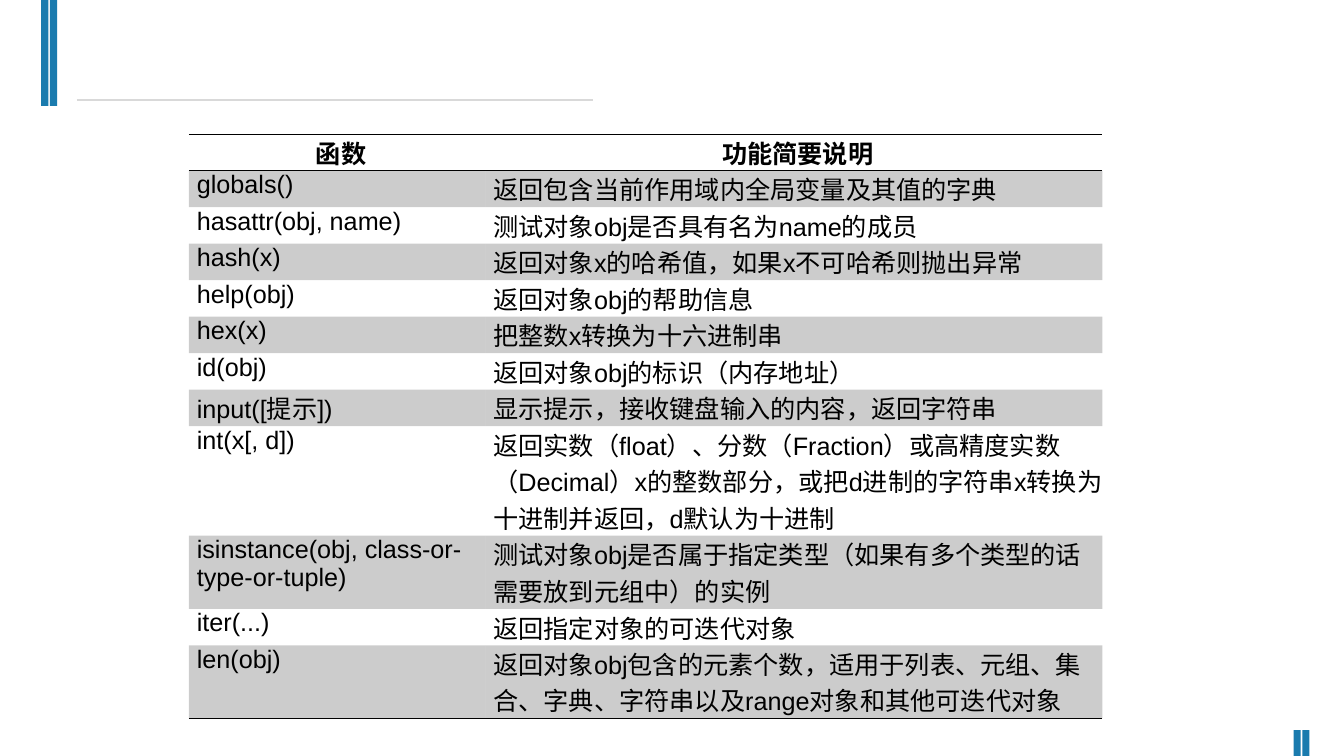
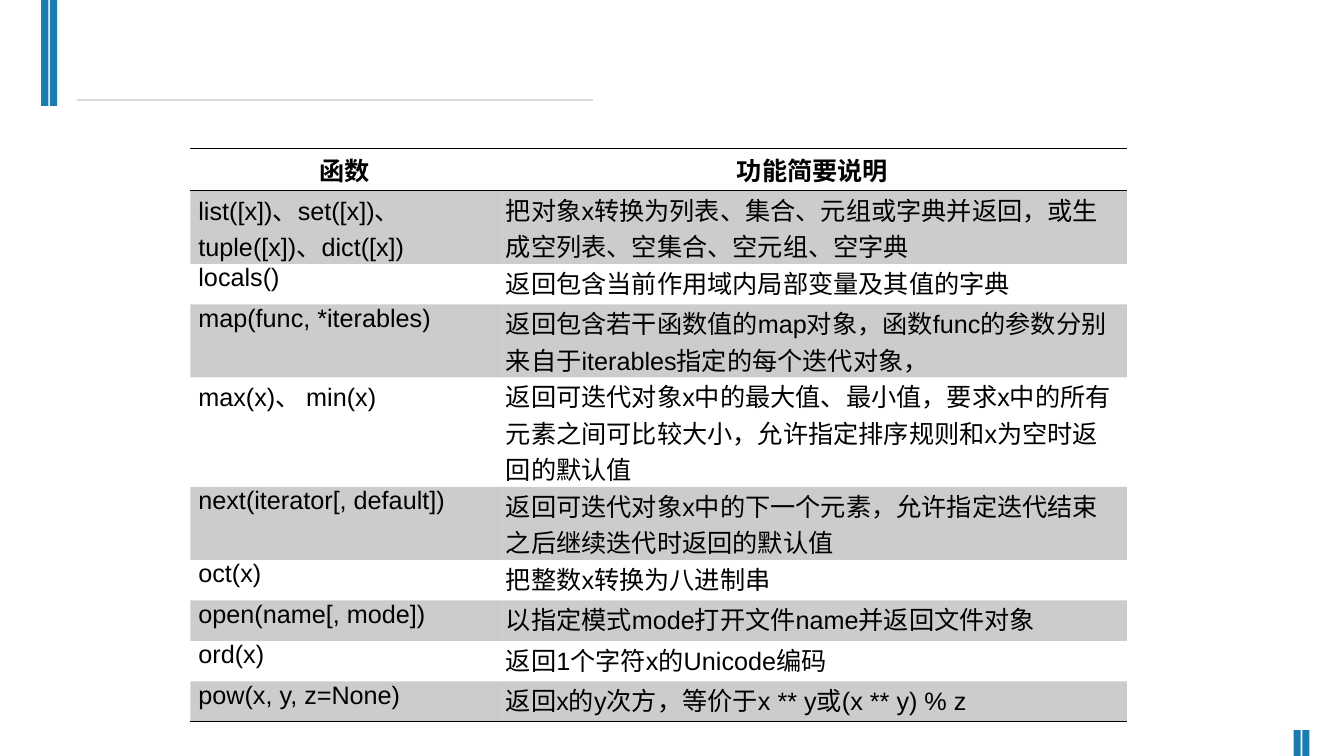
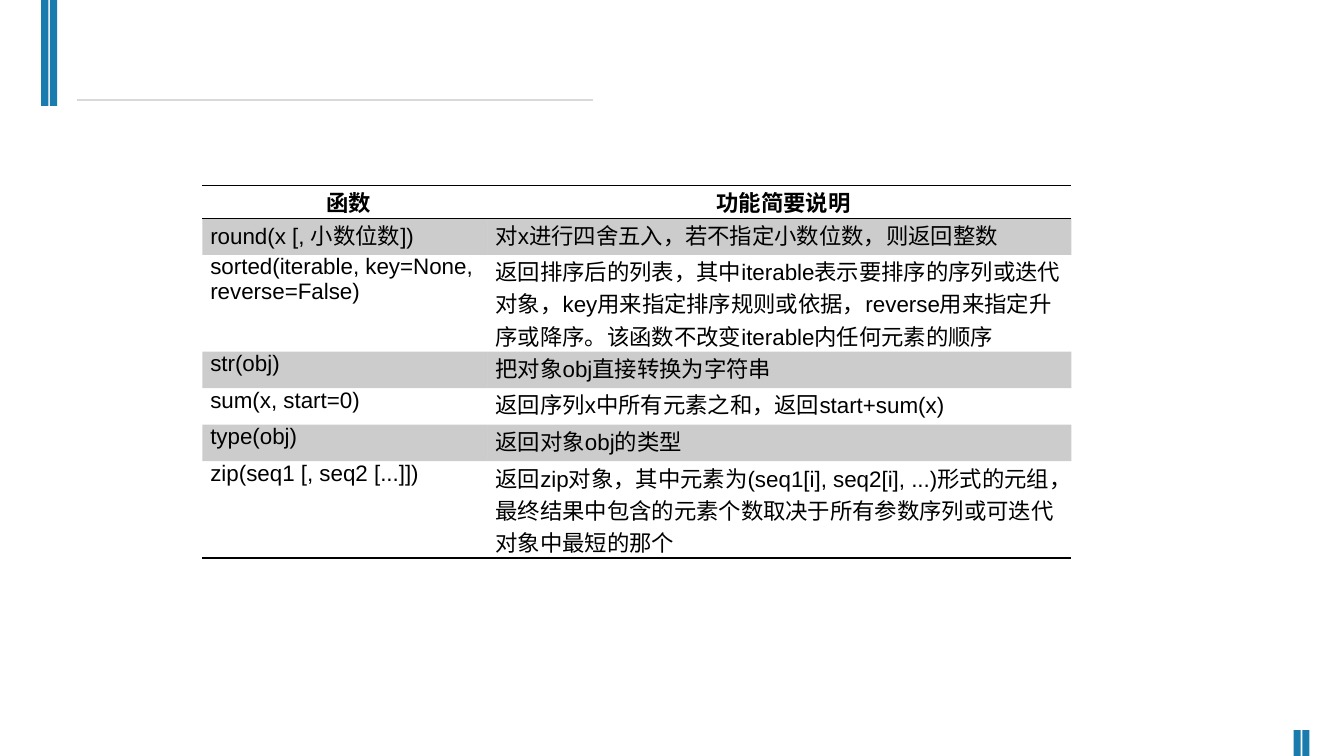
from lxml import etree
from pptx import Presentation
from pptx.dml.color import RGBColor
from pptx.enum.shapes import MSO_CONNECTOR, MSO_SHAPE
from pptx.enum.text import MSO_ANCHOR, PP_ALIGN
from pptx.oxml.ns import qn
from pptx.util import Cm, Pt

RECTANGLE = MSO_SHAPE.RECTANGLE
STRAIGHT = MSO_CONNECTOR.STRAIGHT
CENTER, LEFT = PP_ALIGN.CENTER, PP_ALIGN.LEFT
MIDDLE, TOP = MSO_ANCHOR.MIDDLE, MSO_ANCHOR.TOP

BLUE, RULE_GRAY, BLACK = "1A7BAE", "D9D9D9", "000000"
FONT = "Arial"
NO_STYLE = "{2D5ABB26-0587-4C30-8999-92F81FD0307C}"
BAND_OPACITY = 20000
INSET = 0.2
LINE_HEIGHTS = {18: 0.92, 16: 0.81}
HEADINGS = ("函数", "功能简要说明")

G_TO_LEN = [
    ("globals()", "返回包含当前作用域内全局变量及其值的字典", 1),
    ("hasattr(obj, name)", "测试对象obj是否具有名为name的成员", 1),
    ("hash(x)", "返回对象x的哈希值，如果x不可哈希则抛出异常", 1),
    ("help(obj)", "返回对象obj的帮助信息", 1),
    ("hex(x)", "把整数x转换为十六进制串", 1),
    ("id(obj)", "返回对象obj的标识（内存地址）", 1),
    ("input([提示])", "显示提示，接收键盘输入的内容，返回字符串", 1),
    ("int(x[, d])",
     "返回实数（float）、分数（Fraction）或高精度实数（Decimal）x的整数部分，"
     "或把d进制的字符串x转换为十进制并返回，d默认为十进制", 3),
    ("isinstance(obj, class-or-type-or-tuple)",
     "测试对象obj是否属于指定类型（如果有多个类型的话需要放到元组中）的实例", 2),
    ("iter(...)", "返回指定对象的可迭代对象", 1),
    ("len(obj)",
     "返回对象obj包含的元素个数，适用于列表、元组、集合、字典、字符串"
     "以及range对象和其他可迭代对象", 2),
]
LIST_TO_POW = [
    ("list([x])、set([x])、tuple([x])、dict([x])",
     "把对象x转换为列表、集合、元组或字典并返回，或生成空列表、空集合、空元组、空字典", 2),
    ("locals()", "返回包含当前作用域内局部变量及其值的字典", 1),
    ("map(func, *iterables)",
     "返回包含若干函数值的map对象，函数func的参数分别来自于iterables指定的每个迭代对象，", 2),
    ("max(x)、 min(x)",
     "返回可迭代对象x中的最大值、最小值，要求x中的所有元素之间可比较大小，"
     "允许指定排序规则和x为空时返回的默认值", 3),
    ("next(iterator[, default])",
     "返回可迭代对象x中的下一个元素，允许指定迭代结束之后继续迭代时返回的默认值", 2),
    ("oct(x)", "把整数x转换为八进制串", 1),
    ("open(name[, mode])", "以指定模式mode打开文件name并返回文件对象", 1),
    ("ord(x)", "返回1个字符x的Unicode编码", 1),
    ("pow(x, y, z=None)", "返回x的y次方，等价于x ** y或(x ** y) % z", 1),
]
ROUND_TO_ZIP = [
    ("round(x [, 小数位数])", "对x进行四舍五入，若不指定小数位数，则返回整数", 1),
    ("sorted(iterable, key=None, reverse=False)",
     "返回排序后的列表，其中iterable表示要排序的序列或迭代对象，key用来指定排序规则或依据，"
     "reverse用来指定升序或降序。该函数不改变iterable内任何元素的顺序", 3),
    ("str(obj)", "把对象obj直接转换为字符串", 1),
    ("sum(x, start=0)", "返回序列x中所有元素之和，返回start+sum(x)", 1),
    ("type(obj)", "返回对象obj的类型", 1),
    ("zip(seq1 [, seq2 [...]])",
     "返回zip对象，其中元素为(seq1[i], seq2[i], ...)形式的元组，"
     "最终结果中包含的元素个数取决于所有参数序列或可迭代对象中最短的那个", 3),
]


def color(hex_code):
    """Turn a hex string into a colour."""
    return RGBColor.from_string(hex_code)


def add_bar_pair(shapes, left, top, height):
    """Draw two narrow blue bars side by side and return them."""
    bars = []
    for offset in (0, 0.22):
        bar = shapes.add_shape(RECTANGLE, Cm(left + offset), Cm(top), Cm(0.18), Cm(height))
        bar.shadow.inherit = False
        bar.fill.solid()
        bar.fill.fore_color.rgb = color(BLUE)
        bar.line.fill.background()
        bars.append(bar)
    return bars


def add_title_rule(shapes, left, top, width):
    """Draw the thin grey rule under the title area."""
    rule = shapes.add_connector(STRAIGHT, Cm(left), Cm(top), Cm(left + width), Cm(top))
    rule.line.color.rgb = color(RULE_GRAY)
    rule.line.width = Pt(0.75)
    etree.SubElement(rule.element.spPr, qn("a:effectLst"))
    return rule


def decorate_layout(layout, slide):
    """Draw the shared bars and rule, then move them to the layout."""
    decorations = [
        *add_bar_pair(slide.shapes, 1.04, 0, 2.67),
        *add_bar_pair(slide.shapes, 32.6, 18.4, 0.65),
        add_title_rule(slide.shapes, 1.94, 2.52, 13),
    ]
    for decoration in decorations:
        layout.shapes.element.append(decoration.element)


def add_border(cell, side):
    """Add a one-point black border to the given side of a cell."""
    border = etree.Element(qn(f"a:ln{side}"), w=str(Pt(1)))
    fill = etree.SubElement(border, qn("a:solidFill"))
    etree.SubElement(fill, qn("a:srgbClr"), val=BLACK)
    cell.fill._xPr.insert(0, border)


def fill_cell(cell, text, size, right_inset, heading, banded):
    """Write and format one table cell."""
    cell.text = text
    cell.margin_left, cell.margin_right = Cm(INSET), Cm(right_inset)
    cell.margin_top = cell.margin_bottom = 0
    cell.vertical_anchor = MIDDLE if heading else TOP
    paragraph = cell.text_frame.paragraphs[0]
    paragraph.alignment = CENTER if heading else LEFT
    paragraph.font.name = FONT
    paragraph.font.size = Pt(size)
    paragraph.font.bold = heading
    paragraph.font.color.rgb = color(BLACK)
    if banded:
        cell.fill.solid()
        cell.fill.fore_color.rgb = color(BLACK)
        for tint in cell.fill._xPr.iter(qn("a:srgbClr")):
            etree.SubElement(tint, qn("a:alpha"), val=str(BAND_OPACITY))
    else:
        cell.fill.background()


def add_function_table(slide, functions, left, top, widths, header_height, row_height,
                       size=18, right_inset=0):
    """Place a banded table of functions and their descriptions."""
    heights = [header_height]
    heights += [max(row_height, lines * LINE_HEIGHTS[size]) for *_, lines in functions]
    rows = [HEADINGS] + [function[:2] for function in functions]
    table = slide.shapes.add_table(len(rows), len(widths), Cm(left), Cm(top),
                                   Cm(sum(widths)), Cm(sum(heights))).table
    table.first_row = table.horz_banding = False
    for style in table._tbl.iter(qn("a:tableStyleId")):
        style.text = NO_STYLE
    for column, width in zip(table.columns, widths):
        column.width = Cm(width)
    for index, (texts, height) in enumerate(zip(rows, heights)):
        table.rows[index].height = Cm(height)
        for cell, text in zip(table.rows[index].cells, texts):
            fill_cell(cell, text, size, right_inset, index == 0, index % 2 == 1)
            if index in (0, len(rows) - 1):
                add_border(cell, "B")
            if index == 0:
                add_border(cell, "T")


def main():
    """Build the three reference slides."""
    deck = Presentation()
    deck.slide_width, deck.slide_height = Cm(33.87), Cm(19.05)
    layout = deck.slide_layouts[6]
    first, second, third = [deck.slides.add_slide(layout) for _ in range(3)]
    decorate_layout(layout, first)
    add_function_table(first, G_TO_LEN, 4.76, 3.38, (7.47, 15.55), 0.92, 0.92)
    add_function_table(second, LIST_TO_POW, 4.8, 3.75, (7.75, 15.85), 1.06, 1.02,
                       right_inset=INSET)
    add_function_table(third, ROUND_TO_ZIP, 5.1, 4.67, (7.19, 14.71), 0.83, 0.92, size=16)
    deck.save("out.pptx")


if __name__ == "__main__":
    main()
